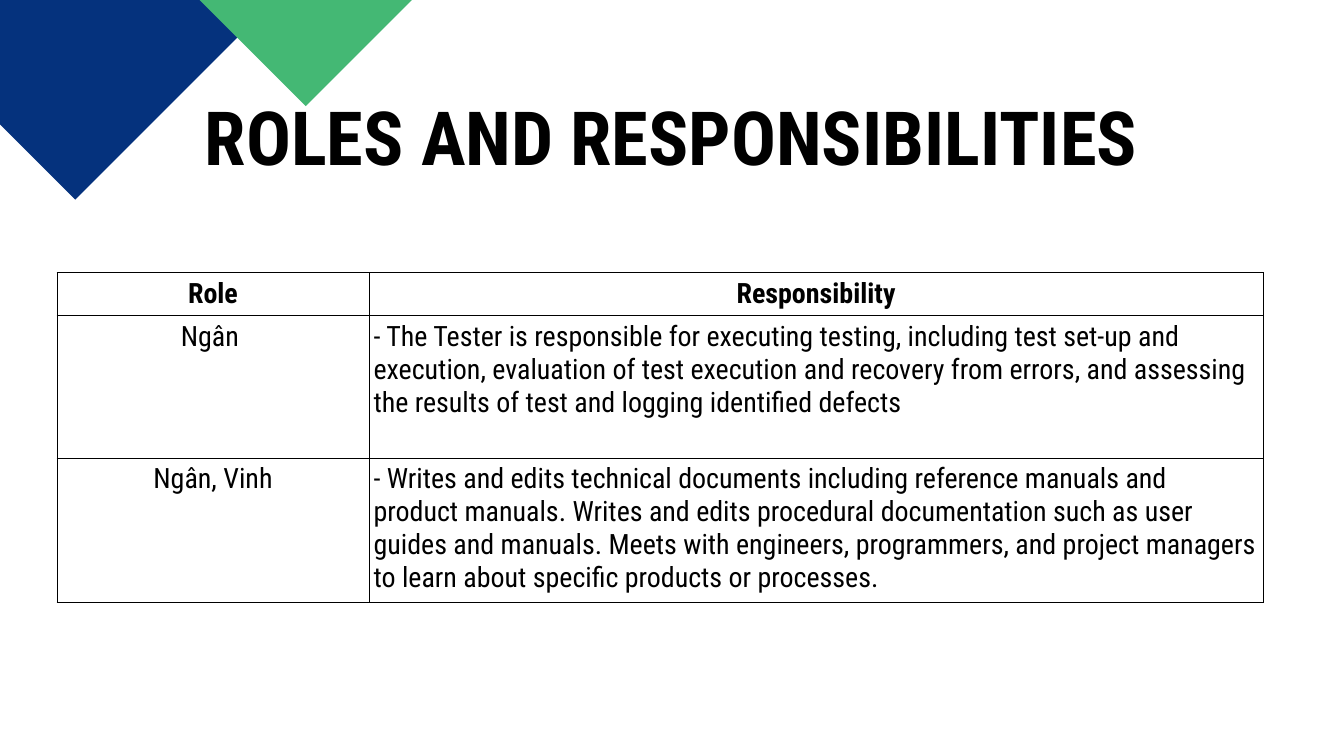
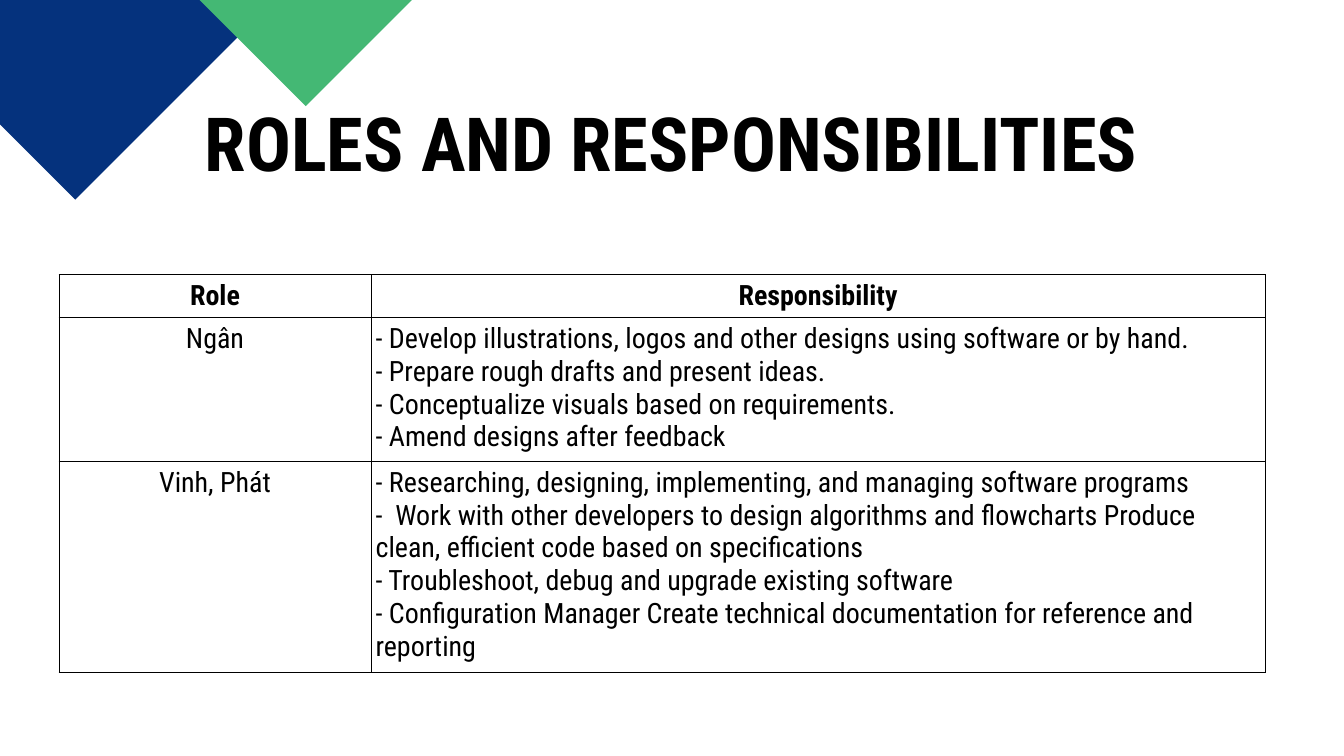
from lxml.etree import SubElement
from pptx import Presentation
from pptx.dml.color import RGBColor
from pptx.enum.text import MSO_ANCHOR as Anchor, PP_ALIGN as Align
from pptx.oxml.ns import qn
from pptx.util import Emu, Pt

PX = 9144
SLIDE_SIZE = (2000, 1125)
BLACK = RGBColor(0x00, 0x00, 0x00)
NAVY = RGBColor(0x05, 0x32, 0x7D)
GREEN = RGBColor(0x44, 0xB8, 0x74)
FONT = "Roboto Condensed"
TITLE_SIZE = 80
TABLE_SIZE = 30
CELL_INSET = 7
DUTY_RIGHT_INSET = 10
BORDER_WIDTH = 1

TITLE = "ROLES AND RESPONSIBILITIES"
HEADER = ("Role", ["Responsibility"])
COLUMN_WIDTHS = (464, 1331)
CORNER_SHAPES = [
    (NAVY, [(409, 0), (112, 297), (0, 185), (0, 0)]),
    (GREEN, [(613, 0), (455, 158), (297, 0)]),
]

SLIDES = [
    {
        "title_top": 134,
        "table_at": (85, 406),
        "row_heights": (64, 212, 212),
        "roles": [
            ("Ngân ", [
                "- The Tester is responsible for executing testing, including test set-up and "
                "execution, evaluation of test execution and recovery from errors, and assessing "
                "the results of test and logging identified defects",
            ]),
            ("Ngân, Vinh", [
                "- Writes and edits technical documents including reference manuals and product "
                "manuals. Writes and edits procedural documentation such as user guides and "
                "manuals. Meets with engineers, programmers, and project managers to learn about "
                "specific products or processes.",
            ]),
        ],
    },
    {
        "title_top": 143,
        "table_at": (88, 409),
        "row_heights": (64, 212, 314),
        "roles": [
            ("Ngân", [
                "- Develop illustrations, logos and other designs using software or by hand.",
                "- Prepare rough drafts and present ideas.",
                "- Conceptualize visuals based on requirements.",
                "- Amend designs after feedback",
            ]),
            ("Vinh, Phát", [
                "- Researching, designing, implementing, and managing software programs",
                "-  Work with other developers to design algorithms and flowcharts Produce clean, "
                "efficient code based on specifications",
                "- Troubleshoot, debug and upgrade existing software",
                "- Configuration Manager Create technical documentation for reference and reporting",
            ]),
        ],
    },
]


def px(length):
    return Emu(length * PX)


def write(text_frame, lines, size, bold, align):
    for index, line in enumerate(lines):
        paragraph = text_frame.paragraphs[0] if index == 0 else text_frame.add_paragraph()
        paragraph.alignment = align
        run = paragraph.add_run()
        run.text = line
        run.font.name = FONT
        run.font.size = Pt(size)
        run.font.bold = bold
        run.font.color.rgb = BLACK


def add_corner(slide):
    group = slide.shapes.add_group_shape()
    for color, points in CORNER_SHAPES:
        builder = group.shapes.build_freeform(*points[0], scale=PX)
        builder.add_line_segments(points[1:], close=True)
        shape = builder.convert_to_shape()
        shape.shadow.inherit = False
        shape.fill.solid()
        shape.fill.fore_color.rgb = color
        shape.line.fill.background()


def add_title(slide, top):
    box = slide.shapes.add_textbox(px(276), px(top), px(1447), px(136))
    frame = box.text_frame
    frame.word_wrap = True
    frame.vertical_anchor = Anchor.TOP
    frame.margin_left = frame.margin_right = frame.margin_bottom = 0
    frame.margin_top = px(1)
    write(frame, [TITLE], TITLE_SIZE, True, Align.CENTER)


def format_cell(cell, right_inset):
    cell.margin_left = cell.margin_top = cell.margin_bottom = px(CELL_INSET)
    cell.margin_right = px(right_inset)
    cell.vertical_anchor = Anchor.TOP
    properties = cell._tc.get_or_add_tcPr()
    for side in ("a:lnL", "a:lnR", "a:lnT", "a:lnB"):
        border = SubElement(properties, qn(side), w=str(Pt(BORDER_WIDTH)))
        fill = SubElement(border, qn("a:solidFill"))
        SubElement(fill, qn("a:srgbClr"), val=str(BLACK))
    cell.fill.background()


def add_roles_table(slide, position, row_heights, roles):
    rows = [HEADER] + roles
    frame = slide.shapes.add_table(
        len(rows), len(COLUMN_WIDTHS), *map(px, position),
        px(sum(COLUMN_WIDTHS)), px(sum(row_heights)))
    table = frame.table
    table.first_row = table.horz_banding = False
    for column, width in zip(table.columns, COLUMN_WIDTHS):
        column.width = px(width)
    for index, (role, duties) in enumerate(rows):
        table.rows[index].height = px(row_heights[index])
        is_header = index == 0
        role_cell, duty_cell = table.cell(index, 0), table.cell(index, 1)
        format_cell(role_cell, CELL_INSET)
        format_cell(duty_cell, CELL_INSET if is_header else DUTY_RIGHT_INSET)
        write(role_cell.text_frame, [role], TABLE_SIZE, is_header, Align.CENTER)
        duty_align = Align.CENTER if is_header else Align.LEFT
        write(duty_cell.text_frame, duties, TABLE_SIZE, is_header, duty_align)


def main():
    presentation = Presentation()
    presentation.slide_width, presentation.slide_height = map(px, SLIDE_SIZE)
    for content in SLIDES:
        slide = presentation.slides.add_slide(presentation.slide_layouts[6])
        add_corner(slide)
        add_title(slide, content["title_top"])
        add_roles_table(slide, content["table_at"], content["row_heights"], content["roles"])
    presentation.save("out.pptx")


if __name__ == "__main__":
    main()
